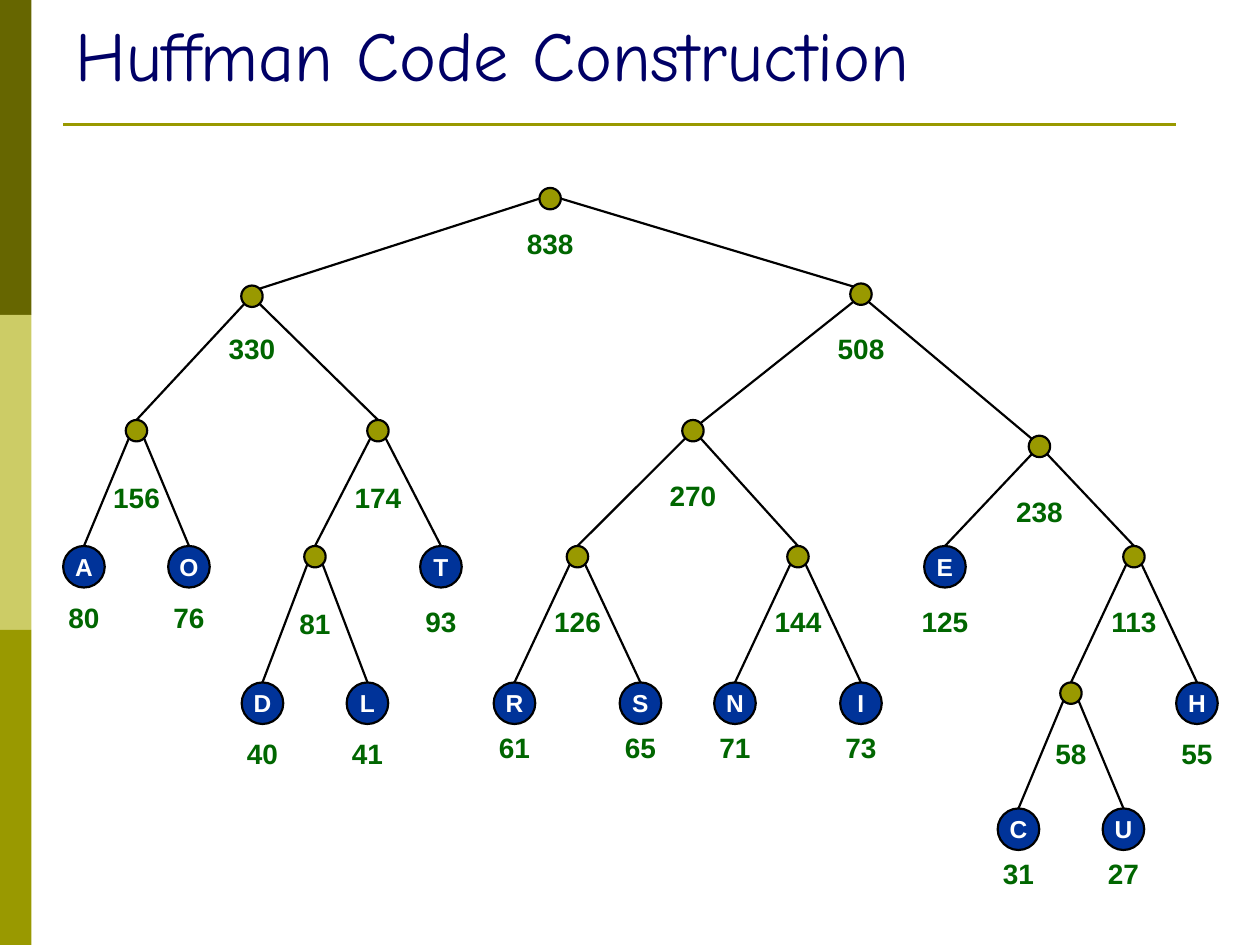
"""Build a slide that shows a finished Huffman code tree."""
from lxml.etree import SubElement
from pptx import Presentation
from pptx.dml.color import RGBColor
from pptx.enum.shapes import MSO_CONNECTOR as Connector, MSO_SHAPE as Shape
from pptx.enum.text import MSO_ANCHOR as Anchor, MSO_AUTO_SIZE as AutoSize, PP_ALIGN as Align
from pptx.oxml.ns import qn
from pptx.util import Inches, Pt

COLORS = {
    "title": "000066", "dark olive": "666600", "light olive": "CCCC66", "olive": "999900",
    "leaf": "003399", "letter": "FFFFFF", "weight": "006600", "edge": "000000",
}
TITLE = "Huffman Code Construction"
SIDEBAR = ["dark olive", "light olive", "olive"]

# weight: (letter, column, node row, weight row)
NODES = {
    838: ("", 52.4, 17.9, 21),
    330: ("", 24, 27.2, 31), 508: ("", 82, 27, 31),
    156: ("", 13, 40, 45.2), 174: ("", 36, 40, 45.2),
    270: ("", 66, 40, 45), 238: ("", 99, 41.5, 46.5),
    80: ("A", 8, 52, 56.6), 76: ("O", 18, 52, 56.6),
    81: ("", 30, 52, 57.2), 93: ("T", 42, 52, 57),
    126: ("", 55, 52, 57), 144: ("", 76, 52, 57),
    125: ("E", 90, 52, 57), 113: ("", 108, 52, 57),
    40: ("D", 25, 65, 69.6), 41: ("L", 35, 65, 69.6),
    61: ("R", 49, 65, 69), 65: ("S", 61, 65, 69),
    71: ("N", 70, 65, 69), 73: ("I", 82, 65, 69),
    58: ("", 102, 65, 69.6), 55: ("H", 114, 65, 69.6),
    31: ("C", 97, 77, 81), 27: ("U", 107, 77, 81),
}
CHILDREN = {
    838: (330, 508), 330: (156, 174), 508: (270, 238), 156: (80, 76),
    174: (81, 93), 270: (126, 144), 238: (125, 113), 81: (40, 41),
    126: (61, 65), 144: (71, 73), 113: (58, 55), 58: (31, 27),
}
ROOT = 838
WIDE_PARENTS = (838, 508)
GRID = 1 / 12
LEAF_SIZE, JOINT_SIZE = 0.33, 0.17
LABEL_WIDTH, LABEL_HEIGHT = 0.67, 0.37
DIAGONAL = 0.71


def rgb(name):
    return RGBColor.from_string(COLORS[name])


def style_text(frame, text, size, color):
    frame.text = text
    paragraph = frame.paragraphs[0]
    paragraph.alignment = Align.CENTER
    paragraph.font.name = "Arial"
    paragraph.font.size = Pt(size)
    paragraph.font.bold = True
    paragraph.font.color.rgb = rgb(color)


def add_filled(shapes, preset, color, left, top, width, height):
    shape = shapes.add_shape(preset, Inches(left), Inches(top), Inches(width), Inches(height))
    shape.shadow.inherit = False
    shape.fill.solid()
    shape.fill.fore_color.rgb = rgb(color)
    return shape


def add_line(shapes, start, end, color, width):
    line = shapes.add_connector(Connector.STRAIGHT, *map(Inches, (*start, *end)))
    line.line.color.rgb = rgb(color)
    line.line.width = Pt(width)
    SubElement(line._element.spPr, qn("a:effectLst"))


def circle(weight):
    letter, column, row, _ = NODES[weight]
    radius = (LEAF_SIZE if letter else JOINT_SIZE) / 2
    return column * GRID, row * GRID + radius, radius


def add_edge(shapes, parent, child, side):
    x, y, radius = circle(parent)
    if parent == ROOT:
        start = x + side * radius, y
    else:
        start = x + side * radius * DIAGONAL, y + radius * DIAGONAL
    x, y, radius = circle(child)
    if parent in WIDE_PARENTS:
        end = x - side * radius * DIAGONAL, y - radius * DIAGONAL
    else:
        end = x, y - radius
    add_line(shapes, start, end, "edge", 1.25)


def add_node(shapes, weight):
    letter, _, _, weight_row = NODES[weight]
    x, y, radius = circle(weight)
    node = add_filled(shapes, Shape.OVAL, "leaf" if letter else "olive",
                      x - radius, y - radius, 2 * radius, 2 * radius)
    node.line.color.rgb = rgb("edge")
    node.line.width = Pt(1.25)
    if letter:
        node.text_frame.word_wrap = False
        node.text_frame.vertical_anchor = Anchor.MIDDLE
        style_text(node.text_frame, letter, 14, "letter")
    label = shapes.add_textbox(Inches(x - LABEL_WIDTH / 2), Inches(weight_row * GRID),
                               Inches(LABEL_WIDTH), Inches(LABEL_HEIGHT))
    label.text_frame.word_wrap = True
    style_text(label.text_frame, str(weight), 16, "weight")


def add_title(title):
    title.left, title.top, title.width, title.height = map(Inches, (0.5, 0.13, 9, 0.68))
    title.text_frame.text = TITLE
    title.text_frame.auto_size = AutoSize.NONE
    title.text_frame.vertical_anchor = Anchor.BOTTOM
    heading = title.text_frame.paragraphs[0]
    heading.alignment = Align.LEFT
    heading.font.name = "Comic Neue"
    heading.font.size = Pt(40)
    heading.font.color.rgb = rgb("title")


def main():
    deck = Presentation()
    deck.slide_width, deck.slide_height = Inches(10), Inches(7.5)
    slide = deck.slides.add_slide(deck.slide_layouts[5])
    shapes = slide.shapes
    add_title(shapes.title)

    band_height = 7.5 / len(SIDEBAR)
    for index, color in enumerate(SIDEBAR):
        band = add_filled(shapes, Shape.RECTANGLE, color, 0, index * band_height, 0.25, band_height)
        band.line.fill.background()
    add_line(shapes, (0.5, 0.99), (9.33, 0.99), "olive", 1.5)

    for parent, children in CHILDREN.items():
        for child, side in zip(children, (-1, 1)):
            add_edge(shapes, parent, child, side)
    for weight in NODES:
        add_node(shapes, weight)
    deck.save("out.pptx")


if __name__ == "__main__":
    main()
